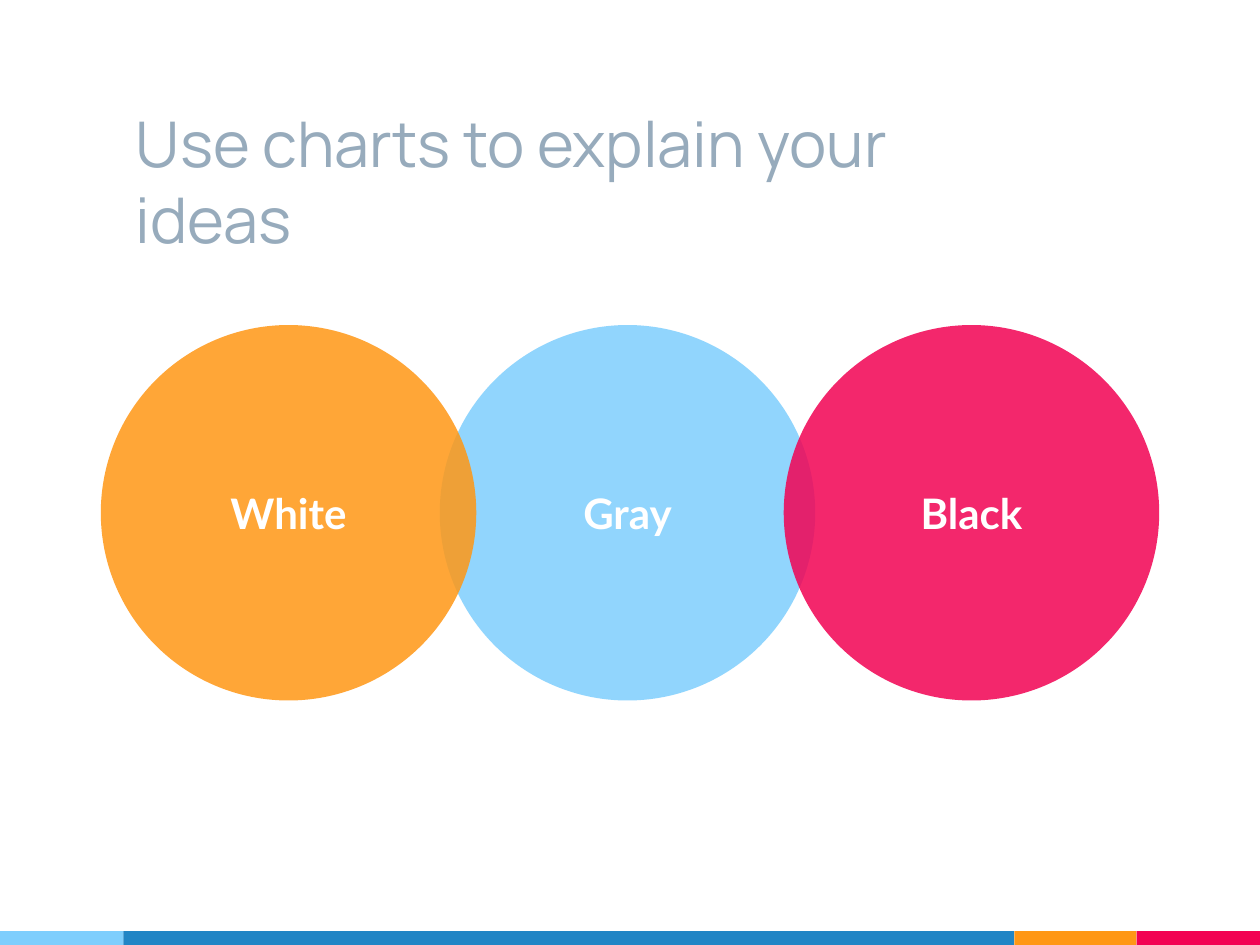
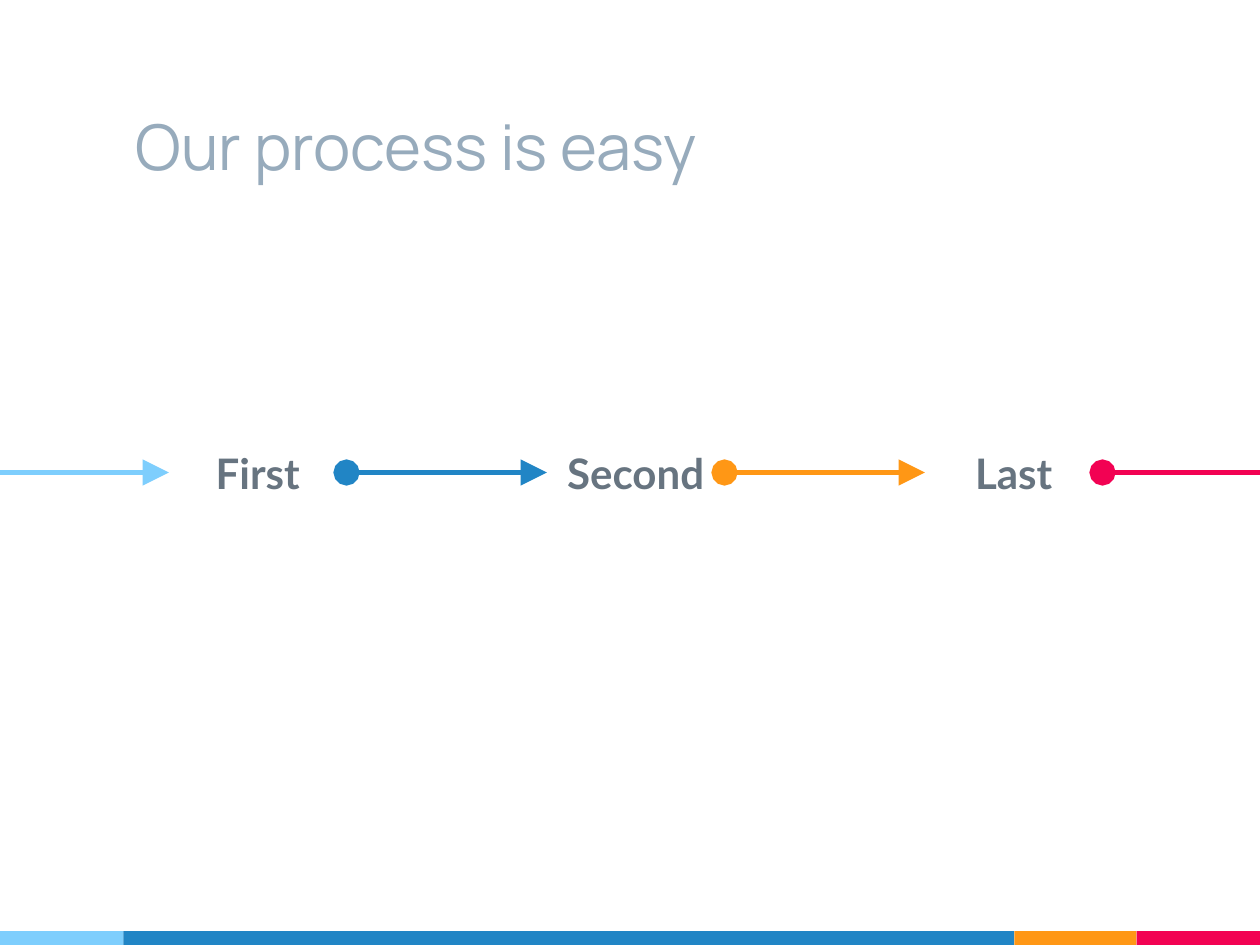
from lxml import etree
from pptx import Presentation
from pptx import util as u
from pptx.dml.color import RGBColor
from pptx.enum import shapes, text
from pptx.oxml.ns import qn

COLORS = {
    "sky": "7ECEFD",
    "blue": "2185C5",
    "orange": "FF9715",
    "red": "F20253",
    "title": "97ABBC",
    "label": "677480",
    "white": "FFFFFF",
}
TITLE_FONT, BODY_FONT = "Manrope", "Lato"
SLIDE_WIDTH, SLIDE_HEIGHT = 10, 7.5
MARGIN = 0.98
BAND_HEIGHT = 0.11
LEFT, RIGHT = 1, 3  # connection sites of a rectangle


def color(name):
    return RGBColor.from_string(COLORS[name])


def write(shape, words, *, font=BODY_FONT, size=24, fill="white", bold=True,
          align=text.PP_ALIGN.CENTER, anchor=text.MSO_ANCHOR.MIDDLE):
    frame = shape.text_frame
    frame.word_wrap = True
    frame.auto_size = text.MSO_AUTO_SIZE.NONE
    frame.vertical_anchor = anchor
    frame.margin_left = frame.margin_right = u.Inches(0.1)
    frame.margin_top = frame.margin_bottom = u.Inches(0.1)
    paragraph = frame.paragraphs[0]
    paragraph.alignment = align
    run = paragraph.add_run()
    run.text = words
    run.font.name = font
    run.font.size = u.Pt(size)
    run.font.bold = bold
    run.font.color.rgb = color(fill)


class Deck:
    """Holds the shared style and the slide being built."""

    def __init__(self):
        self.presentation = Presentation()
        self.presentation.slide_width = u.Inches(SLIDE_WIDTH)
        self.presentation.slide_height = u.Inches(SLIDE_HEIGHT)
        self.slide = None

    def new_slide(self, title, title_top):
        self.slide = self.presentation.slides.add_slide(
            self.presentation.slide_layouts[6])
        self.footer_band()
        box = self.text_box(MARGIN, title_top, 7.07, 1.25)
        write(box, title, font=TITLE_FONT, size=36, fill="title", bold=False,
              align=text.PP_ALIGN.LEFT, anchor=text.MSO_ANCHOR.BOTTOM)

    def footer_band(self):
        edges = [0, MARGIN, SLIDE_WIDTH - 2 * MARGIN + 0.01,
                 SLIDE_WIDTH - MARGIN, SLIDE_WIDTH]
        for name, left, right in zip(("sky", "blue", "orange", "red"), edges, edges[1:]):
            self.shape(shapes.MSO_SHAPE.RECTANGLE, left, SLIDE_HEIGHT - BAND_HEIGHT,
                       right - left, BAND_HEIGHT, name)

    def shape(self, kind, left, top, width, height, fill, opacity=100):
        shape = self.slide.shapes.add_shape(
            kind, *map(u.Inches, (left, top, width, height)))
        shape.shadow.inherit = False
        shape.fill.solid()
        shape.fill.fore_color.rgb = color(fill)
        shape.line.fill.background()
        if opacity < 100:
            rgb = shape.fill._xPr.find(f".//{qn('a:srgbClr')}")
            etree.SubElement(rgb, qn("a:alpha"), val=str(opacity * 1000))
        return shape

    def text_box(self, left, top, width, height):
        return self.slide.shapes.add_textbox(
            *map(u.Inches, (left, top, width, height)))

    def arrow(self, start, end, y, fill, source=None, target=None):
        """Draw a dot-to-triangle arrow, joined to the boxes it runs between."""
        connector = self.slide.shapes.add_connector(
            shapes.MSO_CONNECTOR.STRAIGHT, *map(u.Inches, (start, y, end, y)))
        if source is not None:
            connector.begin_connect(source, RIGHT)
        if target is not None:
            connector.end_connect(target, LEFT)
        connector.line.color.rgb = color(fill)
        connector.line.width = u.Pt(3)
        line = connector.line._get_or_add_ln()
        for end_tag, kind in (("a:headEnd", "oval"), ("a:tailEnd", "triangle")):
            etree.SubElement(line, qn(end_tag), type=kind, w="lg", len="lg")
        etree.SubElement(connector._element.spPr, qn("a:effectLst"))


def build_circles(deck):
    deck.new_slide("Use charts to explain your ideas", 0.88)
    diameter = 2.98
    for label, left, fill in (("Gray", 3.49, "sky"), ("White", 0.8, "orange"),
                              ("Black", 6.22, "red")):
        circle = deck.shape(shapes.MSO_SHAPE.OVAL, left, 2.58, diameter, diameter,
                            fill, opacity=85)
        write(circle, label)


def build_process(deck):
    deck.new_slide("Our process is easy", 0.3)
    middle, step, arrow_start, arrow_length = SLIDE_HEIGHT / 2, 3, -0.25, 1.59
    box_height = 0.7
    boxes = []
    for index, label in enumerate(("First", "Second", "Last")):
        box = deck.text_box(arrow_start + arrow_length + index * step,
                            middle - box_height / 2, step - arrow_length, box_height)
        write(box, label, fill="label")
        boxes.append(box)
    fills = ("sky", "blue", "orange", "red")
    for index, (fill, source, target) in enumerate(
            zip(fills, [None, *boxes], [*boxes, None])):
        start = arrow_start + index * step
        deck.arrow(start, start + arrow_length, middle, fill, source, target)


def main():
    deck = Deck()
    build_circles(deck)
    build_process(deck)
    deck.presentation.save("out.pptx")


if __name__ == "__main__":
    main()
